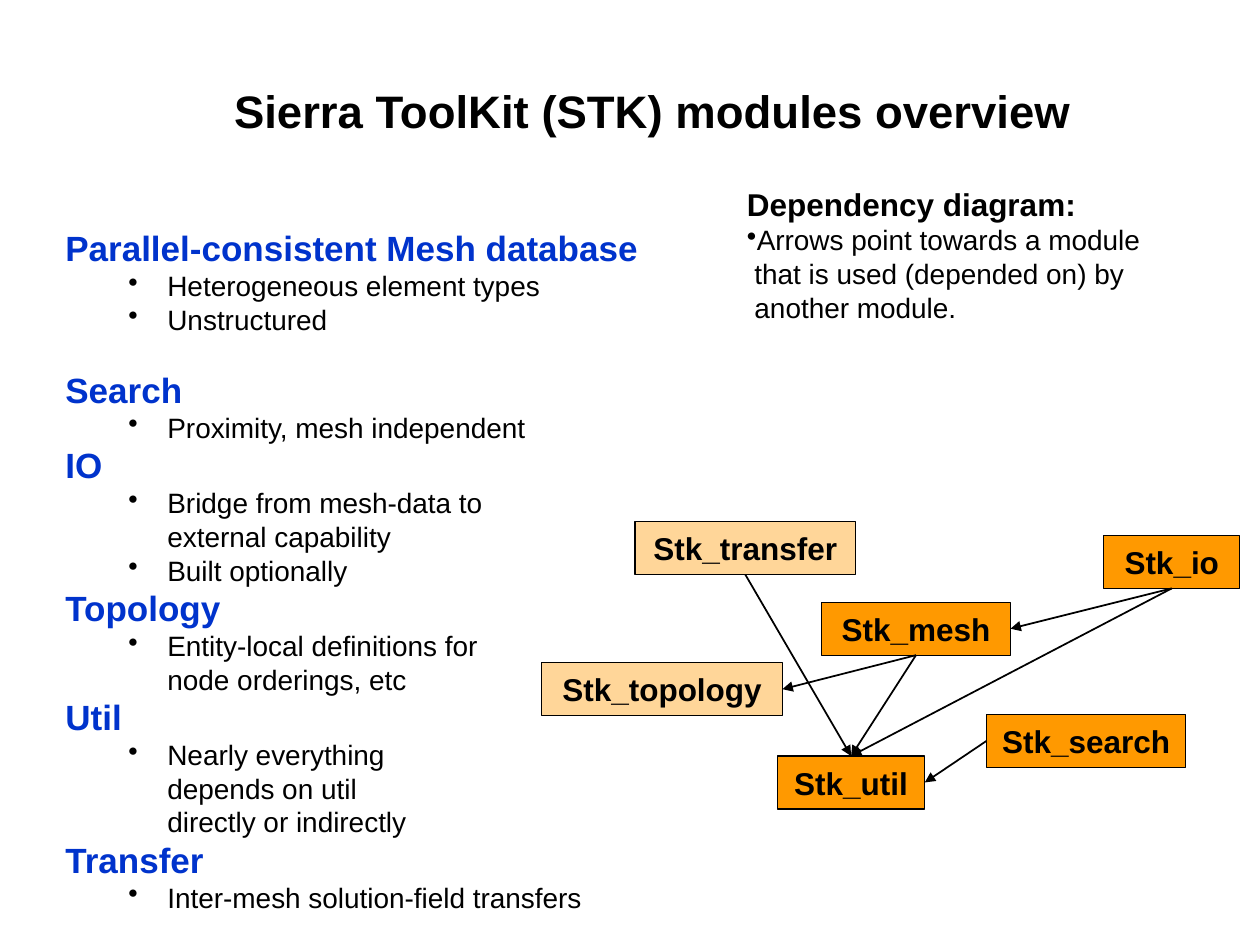
from copy import deepcopy
from typing import NamedTuple

from lxml.etree import SubElement
from pptx import Presentation
from pptx.dml.color import RGBColor
from pptx.enum.shapes import MSO_CONNECTOR, MSO_SHAPE
from pptx.enum.text import MSO_ANCHOR as ANCHOR, PP_ALIGN as ALIGN
from pptx.oxml.ns import qn
from pptx.util import Inches, Pt

COLORS = {"black": "000000", "heading": "0033CC", "core": "FF9900", "extra": "FFD699"}
COLUMNS, ROWS = 100, 75
CELL = Inches(0.1)
TOP, LEFT, BOTTOM, RIGHT = range(4)


class Area(NamedTuple):
    """A place on the slide, in grid columns and rows."""
    column: float
    row: float
    columns: float
    rows: float


class Style(NamedTuple):
    size: int
    bold: bool = True
    color: str = "black"
    margin: float = 0
    hanging: float = 0
    bullet: bool = False
    align: ALIGN = ALIGN.LEFT


class Module(NamedTuple):
    column: float
    row: float
    columns: float
    color: str = "core"


class Dependency(NamedTuple):
    user: str
    user_side: int
    used: str
    used_side: int


class Topic(NamedTuple):
    heading: str
    points: list[str]
    gap: float = 0


TITLE = Style(26)
LABEL = Style(18, align=ALIGN.CENTER)
TOPIC = Style(20, color="heading")
POINT = Style(16, bold=False, margin=0.81, hanging=0.31, bullet=True)
NOTE_TITLE = Style(18, margin=0.06, hanging=0.06)
NOTE = Style(16, bold=False, margin=0.06, hanging=0.06, bullet=True)

MODULE_ROWS = 4.2
MODULES = {
    "Stk_util": Module(61.7, 60, 11.7),
    "Stk_mesh": Module(65.2, 47.8, 15),
    "Stk_transfer": Module(50.4, 41.4, 17.5, "extra"),
    "Stk_search": Module(78.3, 56.7, 15.8),
    "Stk_io": Module(87.6, 42.5, 10.8),
    "Stk_topology": Module(43, 52.6, 19.1, "extra"),
}
DEPENDENCIES = [
    Dependency("Stk_mesh", BOTTOM, "Stk_util", TOP),
    Dependency("Stk_io", BOTTOM, "Stk_mesh", RIGHT),
    Dependency("Stk_io", BOTTOM, "Stk_util", TOP),
    Dependency("Stk_transfer", BOTTOM, "Stk_util", TOP),
    Dependency("Stk_search", LEFT, "Stk_util", RIGHT),
    Dependency("Stk_mesh", BOTTOM, "Stk_topology", RIGHT),
]
TOPICS = [
    Topic("Parallel-consistent Mesh database", ["Heterogeneous element types", "Unstructured"]),
    Topic("Search", ["Proximity, mesh independent"], gap=18.5),
    Topic("IO", ["Bridge from mesh-data to\nexternal capability", "Built optionally"]),
    Topic("Topology", ["Entity-local definitions for\nnode orderings, etc"]),
    Topic("Util", ["Nearly everything\ndepends on util\ndirectly or indirectly"]),
    Topic("Transfer", ["Inter-mesh solution-field transfers"]),
]


def rgb(name: str) -> RGBColor:
    return RGBColor.from_string(COLORS[name])


def place(area: Area) -> list[int]:
    return [round(length * CELL) for length in area]


def write(para, text: str, style: Style, gap: float = 0) -> None:
    para.alignment = style.align
    para.space_before = Pt(gap)
    props = para._p.get_or_add_pPr()
    props.set("marL", str(Inches(style.margin)))
    props.set("indent", str(-Inches(style.hanging)))
    if style.bullet:
        SubElement(props, qn("a:buChar")).set("char", "•")
    font_values = {"name": "Arial", "size": Pt(style.size), "bold": style.bold}
    for index, line in enumerate(text.split("\n")):
        if index:
            para.add_line_break()
        span = para.add_run()
        span.text = line
        for name, value in font_values.items():
            setattr(span.font, name, value)
        span.font.color.rgb = rgb(style.color)
    for line_break in para._p.findall(qn("a:br")):
        line_break.append(deepcopy(span.font._rPr))


def add_text(page, area: Area, lines: list[tuple], wrap=False, anchor=ANCHOR.TOP) -> None:
    """Add a text box of (text, style, gap before) lines."""
    frame = page.shapes.add_textbox(*place(area)).text_frame
    frame.word_wrap = wrap
    frame.vertical_anchor = anchor
    for index, line in enumerate(lines):
        write(frame.add_paragraph() if index else frame.paragraphs[0], *line)


def add_module(page, name: str, module: Module):
    area = Area(module.column, module.row, module.columns, MODULE_ROWS)
    box = page.shapes.add_shape(MSO_SHAPE.RECTANGLE, *place(area))
    box.shadow.inherit = False
    box.fill.solid()
    box.fill.fore_color.rgb = rgb(module.color)
    box.line.color.rgb = rgb("black")
    box.line.width = Pt(0.75)
    box.text_frame.word_wrap = False
    box.text_frame.vertical_anchor = ANCHOR.MIDDLE
    write(box.text_frame.paragraphs[0], name, LABEL)
    return box


def add_dependency(page, boxes: dict, link: Dependency) -> None:
    arrow = page.shapes.add_connector(MSO_CONNECTOR.STRAIGHT, 0, 0, 0, 0)
    arrow.begin_connect(boxes[link.user], link.user_side)
    arrow.end_connect(boxes[link.used], link.used_side)
    arrow.line.color.rgb = rgb("black")
    arrow.line.width = Pt(1)
    SubElement(arrow.line._get_or_add_ln(), qn("a:tailEnd")).set("type", "triangle")
    SubElement(arrow._element.spPr, qn("a:effectLst"))


def main() -> None:
    deck = Presentation()
    deck.slide_width, deck.slide_height = COLUMNS * CELL, ROWS * CELL
    page = deck.slides.add_slide(deck.slide_layouts[6])

    add_text(page, Area(17.6, 2.5, 80, 12.5),
             [("Sierra ToolKit (STK) modules overview", TITLE)], True, ANCHOR.MIDDLE)
    boxes = {name: add_module(page, name, module) for name, module in MODULES.items()}
    for link in DEPENDENCIES:
        add_dependency(page, boxes, link)

    add_text(page, Area(58.3, 14.2, 33.6, 12.1), [
        ("Dependency diagram:", NOTE_TITLE),
        ("Arrows point towards a module\nthat is used (depended on) by\nanother module.", NOTE),
    ])
    outline = []
    for topic in TOPICS:
        outline.append((topic.heading, TOPIC, topic.gap))
        outline += [(point, POINT) for point in topic.points]
    add_text(page, Area(4.2, 17.5, 47.8, 56.2), outline)
    deck.save("out.pptx")


if __name__ == "__main__":
    main()
